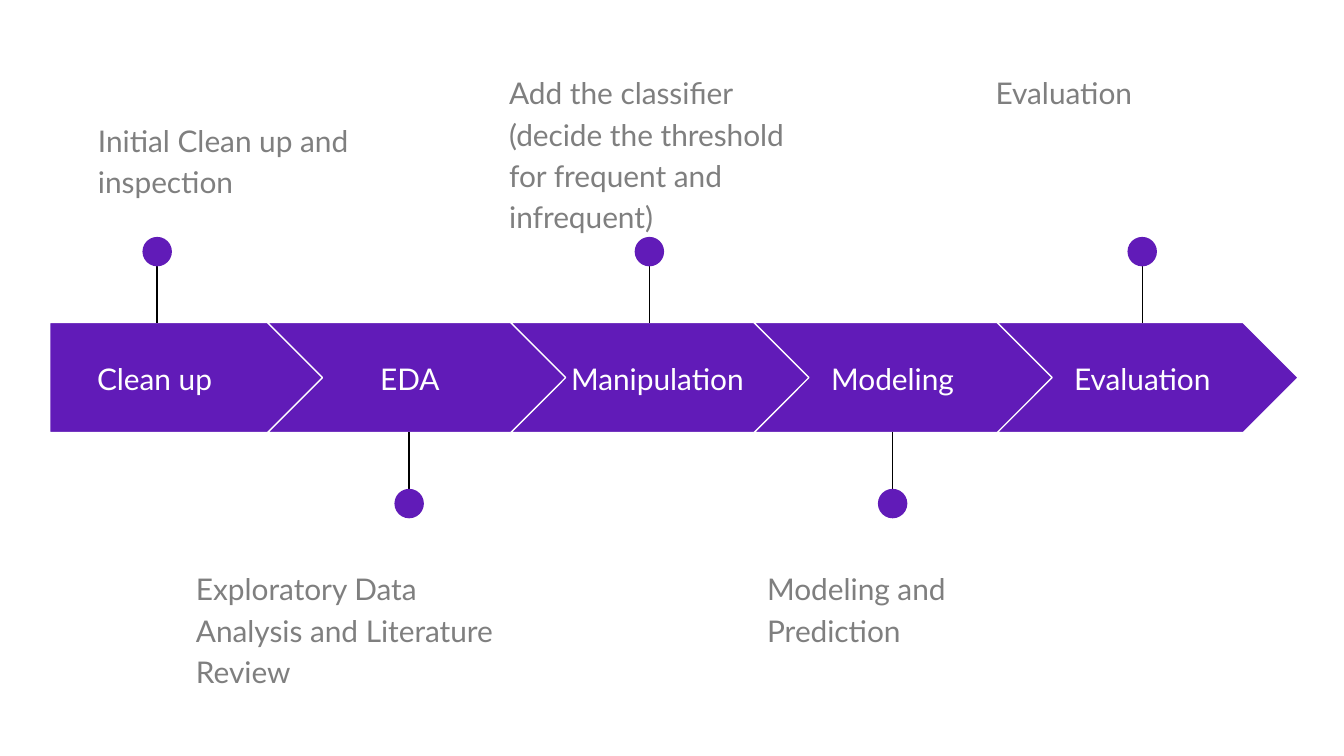
import pptx
import pptx.util
import pptx.dml.color
import pptx.enum.shapes
import pptx.enum.text
import pptx.oxml.ns
import lxml.etree

Pt = pptx.util.Pt
SHAPE = pptx.enum.shapes.MSO_SHAPE
ANCHOR = pptx.enum.text.MSO_ANCHOR
ALIGN = pptx.enum.text.PP_ALIGN

COLORS = {"purple": "611BB8", "white": "FFFFFF", "black": "000000", "gray": "7F7F7F"}
FONT = "Lato"
ARROW_TOP, ARROW_HEIGHT = 172.8, 59
ARROW_LEFT, ARROW_STEP, CHEVRON_WIDTH = 13, 130.3, 161.3
FIRST_LEFT = 26.6
DOT_SIZE, STEM_LENGTH = 15.8, 38.5
NOTE_WIDTH = 176.4

# Label, label center and width, pin center, pin above the arrow, note, note left, top and height
STEPS = [
    ("Clean up", 82.8, 114.5, 84.2, True,
     "Initial Clean up and inspection", 45.4, 55.4, 71),
    ("EDA", 219.6, 103.7, 219.2, False,
     "Exploratory Data Analysis and Literature Review", 97.9, 295.9, 71),
    ("Manipulation", 352.2, 114.5, 347.9, True,
     "Add the classifier (decide the threshold for frequent and infrequent)",
     265.7, 30.2, 95.8),
    ("Modeling", 478.2, 103.7, 478.2, False,
     "Modeling and Prediction", 403.9, 295.9, 71),
    ("Evaluation", 612, 103.7, 611.9, True,
     "Evaluation", 526.3, 30.2, 71),
]


def color(name):
    return pptx.dml.color.RGBColor.from_string(COLORS[name])


def add_filled(page, kind, left, top, width, height):
    shape = page.shapes.add_shape(kind, Pt(left), Pt(top), Pt(width), Pt(height))
    shape.shadow.inherit = False
    shape.fill.solid()
    shape.fill.fore_color.rgb = color("purple")
    shape.line.fill.background()
    return shape


def add_text(page, text, left, top, width, height, color_name):
    box = page.shapes.add_textbox(Pt(left), Pt(top), Pt(width), Pt(height))
    frame = box.text_frame
    frame.word_wrap = True
    frame.margin_left = frame.margin_right = Pt(7.2)
    frame.margin_top = frame.margin_bottom = Pt(7.2)
    para = frame.paragraphs[0]
    para.text = text
    para.font.name = FONT
    para.font.size = Pt(16)
    para.font.color.rgb = color(color_name)
    return frame


def add_arrow(page, index):
    """The first step is a pentagon; each later one is a chevron."""
    left = ARROW_LEFT + ARROW_STEP * index
    if index == 0:
        kind, left, width = SHAPE.PENTAGON, FIRST_LEFT, 147.6
    else:
        kind, width = SHAPE.CHEVRON, CHEVRON_WIDTH
    arrow = add_filled(page, kind, left, ARROW_TOP, width, ARROW_HEIGHT)
    arrow.adjustments[0] = 0.5
    arrow.line.color.rgb = color("white")
    arrow.line.width = Pt(0.75)


def add_label(page, text, center, width):
    frame = add_text(page, text, center - width / 2, 184.3, width, 36.7, "white")
    frame.vertical_anchor = ANCHOR.MIDDLE
    frame.paragraphs[0].alignment = ALIGN.CENTER


def add_pin(page, center, above):
    """A stem from the arrow's edge to the middle of a dot."""
    edge = ARROW_TOP + 0.5 if above else ARROW_TOP + ARROW_HEIGHT - 0.5
    end = edge - STEM_LENGTH if above else edge + STEM_LENGTH
    stem = page.shapes.add_connector(
        pptx.enum.shapes.MSO_CONNECTOR.STRAIGHT, Pt(center), Pt(end), Pt(center), Pt(edge))
    stem.line.color.rgb = color("black")
    stem.line.width = Pt(0.75)
    lxml.etree.SubElement(stem._element.spPr, pptx.oxml.ns.qn("a:effectLst"))
    add_filled(page, SHAPE.OVAL, center - DOT_SIZE / 2, end - DOT_SIZE / 2,
               DOT_SIZE, DOT_SIZE)


def add_note(page, text, left, top, height):
    para = add_text(page, text, left, top, NOTE_WIDTH, height, "gray").paragraphs[0]
    para.line_spacing = 1.15
    para.space_after = Pt(16)


def add_timeline(page):
    for index, step in enumerate(STEPS):
        label, label_center, label_width, pin_center, above, *note = step
        add_arrow(page, index)
        add_label(page, label, label_center, label_width)
        add_pin(page, pin_center, above)
        add_note(page, *note)


def main():
    deck = pptx.Presentation()
    deck.slide_width, deck.slide_height = Pt(720), Pt(405)
    page = deck.slides.add_slide(deck.slide_layouts[6])
    add_timeline(page)
    deck.save("out.pptx")


if __name__ == "__main__":
    main()
